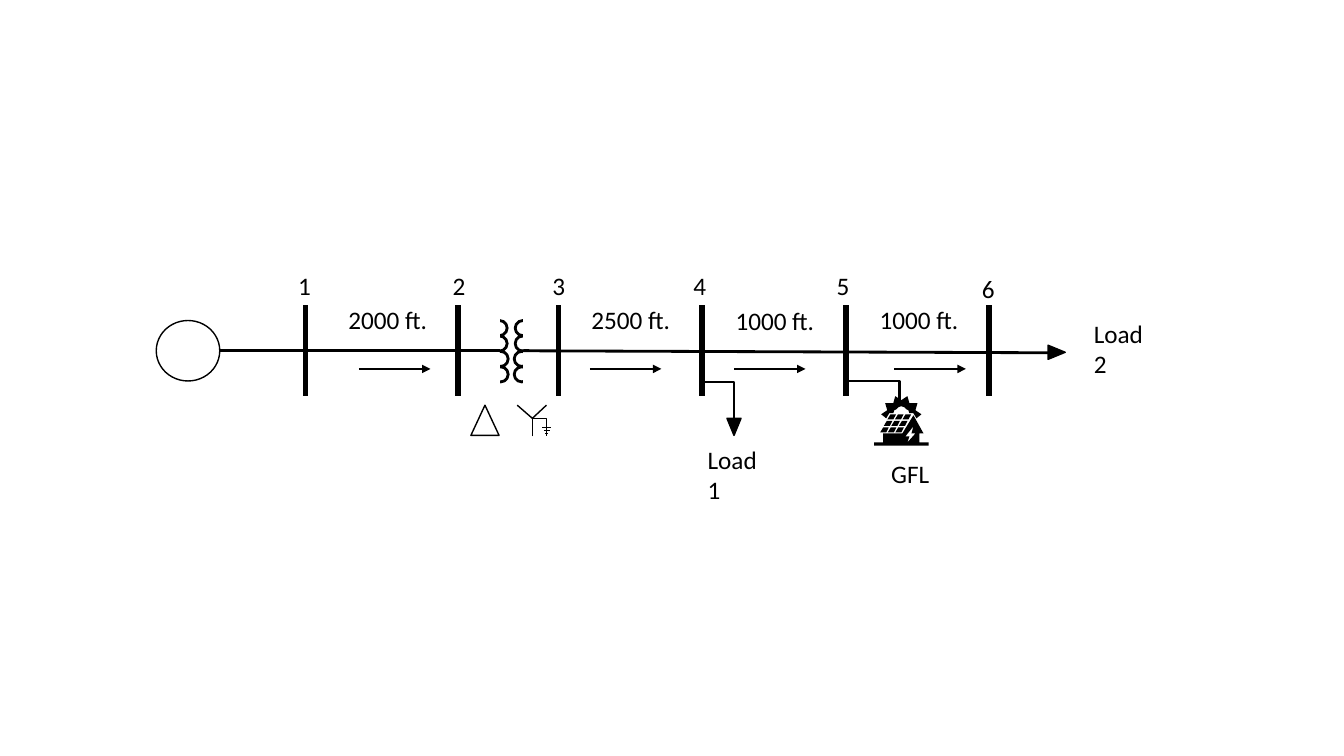
from dataclasses import dataclass

from lxml import etree
from pptx import Presentation
from pptx import util as u
from pptx.dml.color import RGBColor
from pptx.enum import shapes, text
from pptx.oxml import ns


@dataclass(frozen=True)
class Theme:
    ink: RGBColor = RGBColor(0, 0, 0)
    paper: RGBColor = RGBColor(255, 255, 255)
    font: str = "Calibri"
    size: float = 18
    hairline: float = 0.5
    thin: float = 1
    wire: float = 2
    bus: float = 4


class Diagram:
    """Draws on one slide in one theme; all lengths are in inches."""

    def __init__(self, slide, theme):
        self.slide = slide
        self.theme = theme

    def shape(self, kind, left, top, width, height, fill=None, line=None,
              weight=None, rotation=0, group=None):
        parent = group or self.slide
        item = parent.shapes.add_shape(kind, *map(u.Inches, (left, top, width, height)))
        item.rotation = rotation
        self.paint(item, fill)
        item.line.color.rgb = line or self.theme.ink
        item.line.width = u.Pt(weight or self.theme.thin)
        return item

    def paint(self, item, fill):
        item.shadow.inherit = False
        if fill is None:
            item.fill.background()
        else:
            item.fill.solid()
            item.fill.fore_color.rgb = fill

    def outline(self, *contours, group):
        """Fill closed contours; a contour inside another one is a hole."""
        paths = [[(u.Inches(x), u.Inches(y)) for x, y in c] for c in contours]
        builder = group.shapes.build_freeform(*paths[0][0])
        builder.add_line_segments(paths[0][1:], close=True)
        for path in paths[1:]:
            builder.move_to(*path[0])
            builder.add_line_segments(path[1:], close=True)
        item = builder.convert_to_shape()
        self.paint(item, self.theme.ink)
        item.line.fill.background()

    def line(self, x1, y1, x2, y2, weight=None, arrow=False,
             kind=shapes.MSO_CONNECTOR.STRAIGHT):
        item = self.slide.shapes.add_connector(kind, *map(u.Inches, (x1, y1, x2, y2)))
        item.line.color.rgb = self.theme.ink
        item.line.width = u.Pt(weight or self.theme.wire)
        if arrow:
            etree.SubElement(item.line._get_or_add_ln(), ns.qn("a:tailEnd"), type="triangle")
        etree.SubElement(item._element.spPr, ns.qn("a:effectLst"))
        return item

    def elbow(self, x1, y1, x2, y2, weight=None):
        """Run across to x2, then straight down to y2."""
        item = self.line(x1, y1, x2, y2, weight, kind=shapes.MSO_CONNECTOR.ELBOW)
        guides = item._element.spPr.find(ns.qn("a:prstGeom")).get_or_add_avLst()
        etree.SubElement(guides, ns.qn("a:gd"), name="adj1", fmla="val 100000")

    def label(self, words, left, top, width, height=0.4, align=text.PP_ALIGN.LEFT):
        box = self.slide.shapes.add_textbox(*map(u.Inches, (left, top, width, height)))
        frame = box.text_frame
        frame.word_wrap = True
        frame.auto_size = text.MSO_AUTO_SIZE.SHAPE_TO_FIT_TEXT
        frame.text = words
        for paragraph in frame.paragraphs:
            paragraph.alignment = align
            paragraph.font.name = self.theme.font
            paragraph.font.size = u.Pt(self.theme.size)
            paragraph.font.color.rgb = self.theme.ink


def draw_winding(diagram, coil_left, lower_shift, cover_left):
    """Four rings, with one side hidden so that half-turns remain."""
    theme = diagram.theme
    winding = diagram.slide.shapes.add_group_shape()
    for turn in range(4):
        left = coil_left + lower_shift * (turn // 2)
        diagram.shape(shapes.MSO_SHAPE.OVAL, left, 3.18 + 0.153 * turn, 0.15, 0.15,
                      weight=theme.wire, group=winding)
    for top, height in ((3.16, 0.3), (3.5, 0.32)):
        diagram.shape(shapes.MSO_SHAPE.RECTANGLE, cover_left, top, 0.08, height,
                      fill=theme.paper, line=theme.paper, group=winding)


def draw_feeder(diagram):
    theme = diagram.theme
    diagram.shape(shapes.MSO_SHAPE.OVAL, 1.55, 3.18, 0.63, 0.6)
    diagram.line(2.18, 3.48, 4.96, 3.48)
    draw_winding(diagram, 4.88, 0.01, 4.87)
    draw_winding(diagram, 5.11, -0.01, 5.19)
    diagram.line(5.18, 3.48, 10.47, 3.5)

    buses = ((3.03, 2.86, 2.63), (4.54, 4.39, 2.63), (5.54, 5.38, 2.63),
             (6.96, 6.78, 2.63), (8.39, 8.2, 2.63), (9.81, 9.64, 2.66))
    for number, (x, label_left, label_top) in enumerate(buses, 1):
        diagram.line(x, 3.03, x, 3.93, theme.bus)
        diagram.label(str(number), label_left, label_top, 0.4)

    sections = (("2000 ft.", 3.24, 2.97, 3.56), ("2500 ft.", 5.65, 2.97, 5.85),
                ("1000 ft.", 7.08, 2.98, 7.28), ("1000 ft.", 8.51, 2.97, 8.87))
    for distance, left, top, flow in sections:
        diagram.label(distance, left, top, 1.21, align=text.PP_ALIGN.CENTER)
        diagram.line(flow, 3.66, flow + 0.71, 3.66, arrow=True)


def draw_loads(diagram):
    diagram.elbow(6.96, 3.79, 7.28, 4.15)
    loads = (("Load\n1", 6.92, 4.36, 7.21, 4.15, 180),
             ("Load\n2", 10.75, 3.11, 10.41, 3.41, 90))
    for name, left, top, tip_left, tip_top, turn in loads:
        diagram.shape(shapes.MSO_SHAPE.ISOSCELES_TRIANGLE, tip_left, tip_top, 0.14, 0.17,
                      fill=diagram.theme.ink, rotation=turn)
        diagram.label(name, left, top, 0.71, 0.71)


def draw_delta_wye(diagram):
    theme = diagram.theme
    diagram.shape(shapes.MSO_SHAPE.ISOSCELES_TRIANGLE, 4.67, 4.02, 0.28, 0.3)
    for x, y in ((5.13, 4.02), (5.42, 4.02), (5.28, 4.33)):
        diagram.line(x, y, 5.28, 4.15, theme.thin)
    diagram.elbow(5.28, 4.15, 5.42, 4.33, theme.hairline)
    for step in range(3):
        half = 0.045 - 0.015 * step
        y = 4.24 + 0.03 * step
        diagram.line(5.425 - half, y, 5.425 + half, y, theme.thin)


def draw_solar_plant(diagram):
    diagram.elbow(8.42, 3.78, 8.92, 3.97)
    plant = diagram.slide.shapes.add_group_shape()
    house = [(8.95, 4.3), (9.06, 4.12), (9.16, 4.3), (9.12, 4.3), (9.12, 4.39),
             (9.21, 4.39), (9.21, 4.42), (8.67, 4.42), (8.67, 4.39), (8.76, 4.39),
             (8.76, 4.3)]
    bolt = [(9.06, 4.23), (8.98, 4.33), (9.02, 4.33), (9, 4.39), (9.08, 4.3), (9.04, 4.3)]
    diagram.outline(house, bolt, group=plant)

    for row in range(3):
        for column in range(3):
            left = 8.73 + 0.075 * column + 0.036 * row
            top = 4.24 - 0.065 * row
            bottom = top + 0.05
            diagram.outline([(left, bottom), (left + 0.03, top), (left + 0.085, top),
                             (left + 0.06, bottom)], group=plant)

    center = 8.94
    left_half = [(center, 3.97), (8.88, 3.93), (8.86, 4), (8.78, 4), (8.8, 4.07),
                 (8.74, 4.11), (8.79, 4.15), (8.82, 4.1), (8.86, 4.1), (8.87, 4.07),
                 (8.89, 4.06), (8.91, 4.04), (center, 4.03)]
    right_half = [(2 * center - x, y) for x, y in left_half[-2:0:-1]]
    diagram.outline(left_half + right_half, group=plant)
    diagram.label("GFL", 8.74, 4.5, 0.71)


def main():
    deck = Presentation()
    deck.slide_width, deck.slide_height = u.Inches(13.33), u.Inches(7.5)
    blank = deck.slide_layouts[6]
    diagram = Diagram(deck.slides.add_slide(blank), Theme())
    draw_feeder(diagram)
    draw_loads(diagram)
    draw_delta_wye(diagram)
    draw_solar_plant(diagram)
    deck.save("out.pptx")


if __name__ == "__main__":
    main()
